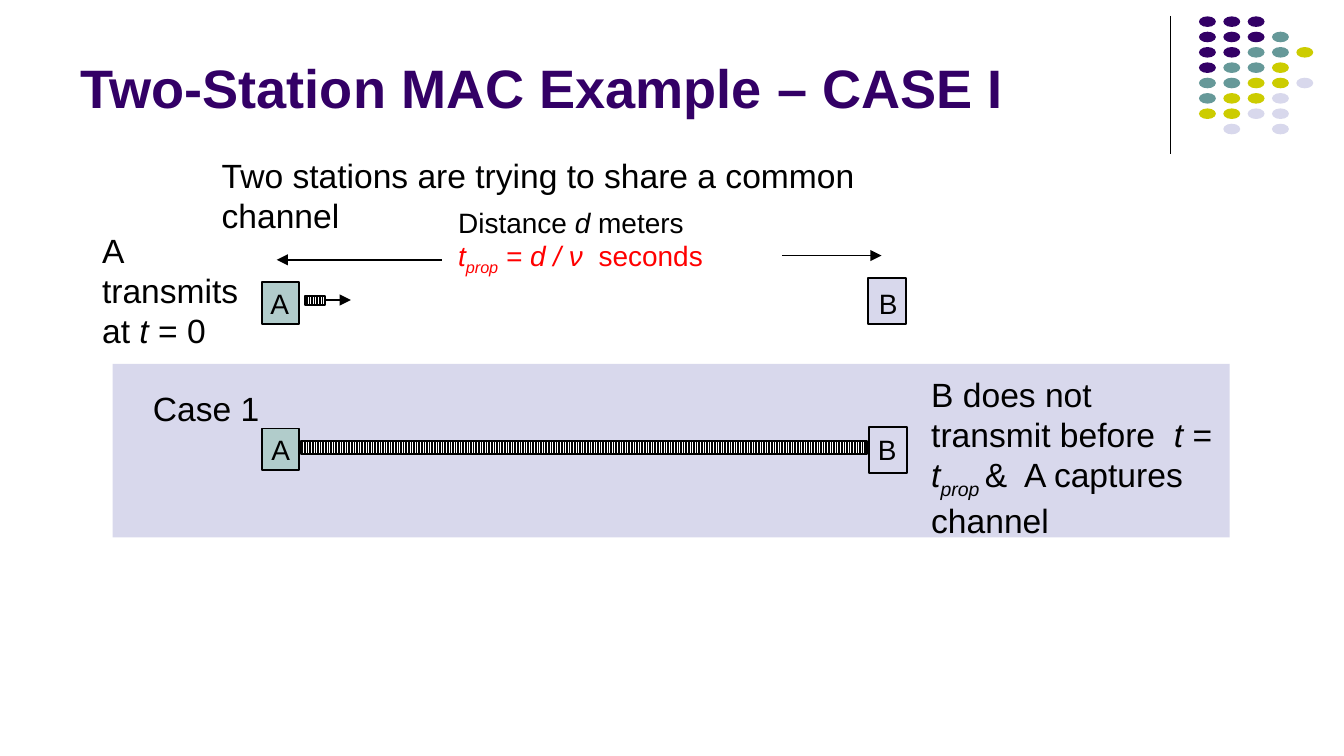
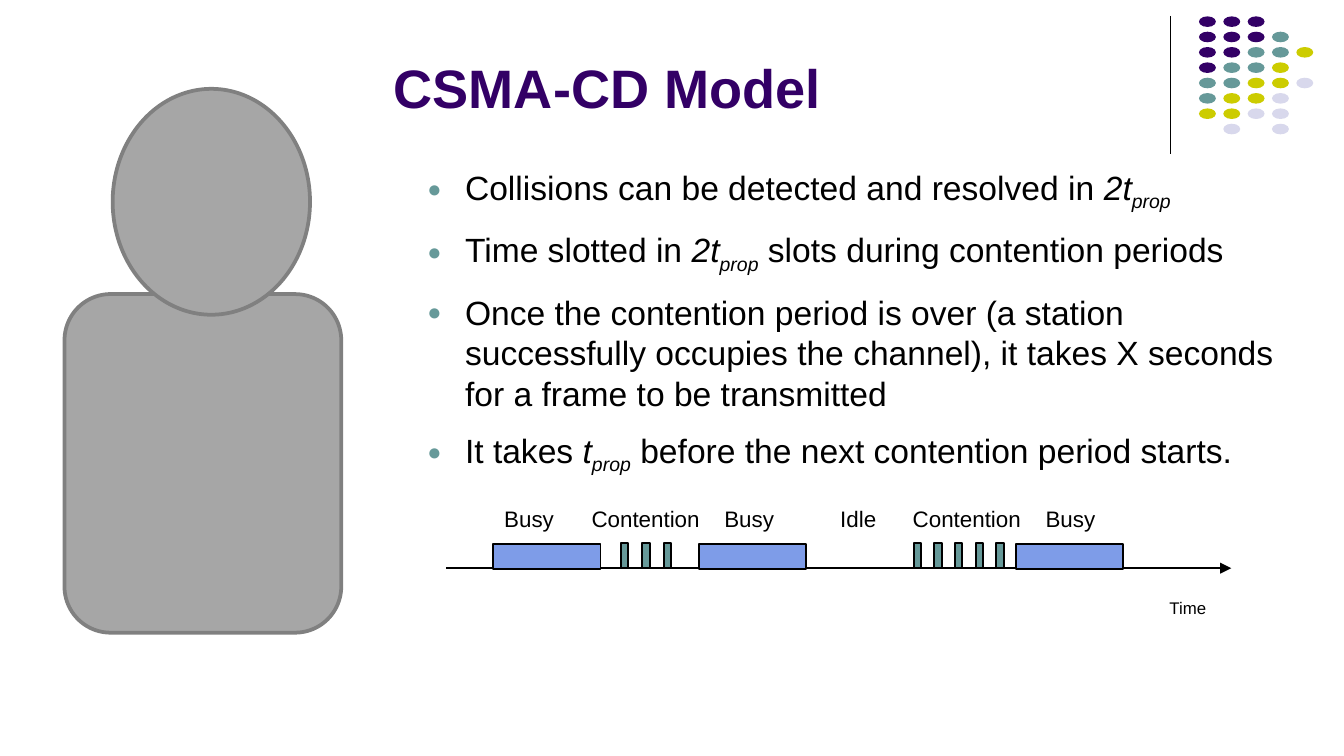
import dataclasses

import lxml.etree
import pptx
import pptx.dml.color
import pptx.enum.dml
import pptx.enum.shapes
import pptx.enum.text
import pptx.oxml.ns
import pptx.util

Cm = pptx.util.Cm
Pt = pptx.util.Pt
RGBColor = pptx.dml.color.RGBColor
qn = pptx.oxml.ns.qn
MSO_SHAPE = pptx.enum.shapes.MSO_SHAPE
MSO_ANCHOR = pptx.enum.text.MSO_ANCHOR
PP_ALIGN = pptx.enum.text.PP_ALIGN
MSO_AUTO_SIZE = pptx.enum.text.MSO_AUTO_SIZE

FONT = "Arial"
BLACK = RGBColor(0x00, 0x00, 0x00)
WHITE = RGBColor(0xFF, 0xFF, 0xFF)
RED = RGBColor(0xFF, 0x00, 0x00)
PURPLE = RGBColor(0x33, 0x00, 0x66)
TEAL = RGBColor(0x66, 0x99, 0x99)
YELLOW = RGBColor(0xCC, 0xCC, 0x00)
LAVENDER = RGBColor(0xD8, 0xD8, 0xEC)
PALE_TEAL = RGBColor(0xB1, 0xCC, 0xCB)
BLUE = RGBColor(0x7E, 0x9C, 0xE8)
GRAY = RGBColor(0xA6, 0xA6, 0xA6)
DARK_GRAY = RGBColor(0x80, 0x80, 0x80)

DOT_ROWS = ["PPP", "PPPT", "PPTTY", "PTTY", "TTYYL", "TYYL", "YYLL", " L L"]
DOT_COLORS = {"P": PURPLE, "T": TEAL, "Y": YELLOW, "L": LAVENDER}
WIDE_INSET = (0.25, 0.13)
SLIM_INSET = (0.18, 0.1)


@dataclasses.dataclass
class Part:
    """A stretch of text with its own format."""

    text: str
    italic: bool = False
    sub: bool = False
    color: RGBColor = None


def italic(text, **kwargs):
    """Return an italic part."""
    return Part(text, italic=True, **kwargs)


def add_bullet(paragraph):
    """Give a paragraph a hanging round bullet."""
    props = paragraph._p.get_or_add_pPr()
    props.set("marL", str(Cm(1.45)))
    props.set("indent", str(-Cm(0.71)))
    color = lxml.etree.SubElement(props, qn("a:buClr"))
    lxml.etree.SubElement(color, qn("a:srgbClr"), val=str(TEAL))
    lxml.etree.SubElement(props, qn("a:buSzPct"), val="70000")
    lxml.etree.SubElement(props, qn("a:buFont"), typeface=FONT)
    lxml.etree.SubElement(props, qn("a:buChar"), char="●")


def add_text(slide, paragraphs, left, top, width, height, size=18, color=BLACK,
             bold=False, align=None, anchor=MSO_ANCHOR.TOP, inset=SLIM_INSET,
             wrap=True, grow=True, bullets=False, space_before=0):
    """Add a text box; each paragraph is a string or a list of strings and parts."""
    box = slide.shapes.add_textbox(Cm(left), Cm(top), Cm(width), Cm(height))
    frame = box.text_frame
    frame.word_wrap = wrap
    frame.auto_size = MSO_AUTO_SIZE.SHAPE_TO_FIT_TEXT if grow else MSO_AUTO_SIZE.NONE
    frame.vertical_anchor = anchor
    frame.margin_left = frame.margin_right = Cm(inset[0])
    frame.margin_top = frame.margin_bottom = Cm(inset[1])
    for index, content in enumerate(paragraphs):
        paragraph = frame.add_paragraph() if index else frame.paragraphs[0]
        if bullets:
            add_bullet(paragraph)
        if align is not None:
            paragraph.alignment = align
        if index and space_before:
            paragraph.space_before = Pt(space_before)
        for piece in [content] if isinstance(content, str) else content:
            part = Part(piece) if isinstance(piece, str) else piece
            run = paragraph.add_run()
            run.text = part.text
            run.font.name = FONT
            run.font.size = Pt(size)
            run.font.bold = bold
            run.font.italic = part.italic
            run.font.color.rgb = part.color or color
            if part.sub:
                run.font._element.set("baseline", "-25000")


def add_block(slide, kind, left, top, width, height, fill, line=None, weight=1):
    """Add a preset shape with a plain fill and an optional outline."""
    block = slide.shapes.add_shape(kind, Cm(left), Cm(top), Cm(width), Cm(height))
    block.shadow.inherit = False
    block.fill.solid()
    block.fill.fore_color.rgb = fill
    if line is None:
        block.line.fill.background()
    else:
        block.line.color.rgb = line
        block.line.width = Pt(weight)
    return block


def add_frame_signal(slide, left, top, width, height):
    """Add a transmitted frame as a vertically striped bar."""
    signal = add_block(slide, MSO_SHAPE.RECTANGLE, left, top, width, height, WHITE, BLACK)
    signal.fill.patterned()
    signal.fill.pattern = pptx.enum.dml.MSO_PATTERN.LIGHT_VERTICAL
    signal.fill.fore_color.rgb = WHITE
    signal.fill.back_color.rgb = BLACK


def add_line(slide, x1, y1, x2, y2, weight=1, arrow=None):
    """Add a straight line; arrow is None, "headEnd" or "tailEnd"."""
    line = slide.shapes.add_connector(pptx.enum.shapes.MSO_CONNECTOR.STRAIGHT,
                                      Cm(x1), Cm(y1), Cm(x2), Cm(y2))
    line.line.color.rgb = BLACK
    line.line.width = Pt(weight)
    props = line.element.spPr
    if arrow:
        lxml.etree.SubElement(props.find(qn("a:ln")), qn(f"a:{arrow}"), type="triangle")
    lxml.etree.SubElement(props, qn("a:effectLst"))


def add_station(slide, name, fill, left, top, height, label_left, label_top):
    """Add a station box with its letter."""
    add_block(slide, MSO_SHAPE.RECTANGLE, left, top, 0.71, height, fill, BLACK)
    add_text(slide, [name], label_left, label_top, 0.74, 0.82, size=15, wrap=False)


def start_slide(deck, title, left):
    """Add a slide with the dot ornament, the divider and a title."""
    slide = deck.slides.add_slide(deck.slide_layouts[6])
    add_line(slide, 22.12, 0.3, 22.12, 2.92, weight=0.75)
    for row, letters in enumerate(DOT_ROWS):
        for column, letter in enumerate(letters):
            if letter in DOT_COLORS:
                add_block(slide, MSO_SHAPE.OVAL, 22.66 + 0.46 * column,
                          0.31 + 0.29 * row, 0.32, 0.2, DOT_COLORS[letter])
    add_text(slide, [title], left, 0.25, 22.23 - left, 2.13, size=29, color=PURPLE,
             bold=True, anchor=MSO_ANCHOR.BOTTOM, inset=WIDE_INSET, grow=False)
    return slide


def build_station_slide(deck):
    """Build the two-station example."""
    slide = start_slide(deck, "Two-Station MAC Example – CASE I", 1.27)
    add_text(slide, ["Two stations are trying to share a common channel"],
             3.94, 2.79, 14.86, 1.02, inset=WIDE_INSET, wrap=False)
    add_text(slide, [["A transmits at ", italic("t "), "= 0"]], 1.75, 4.24, 3.07, 2.49)
    add_text(slide, [["Distance ", italic("d"), " meters"],
                     [italic("t", color=RED), italic("prop", sub=True, color=RED),
                      italic(" = d / ν ", color=RED), Part(" seconds", color=RED)]],
             8.48, 3.78, 6.27, 1.47, size=15)
    add_line(slide, 5.23, 4.91, 8.36, 4.91, arrow="headEnd")
    add_line(slide, 14.78, 4.83, 16.66, 4.83, arrow="tailEnd")
    add_station(slide, "A", PALE_TEAL, 4.95, 5.33, 0.79, 4.93, 5.31)
    add_station(slide, "B", LAVENDER, 16.41, 5.26, 0.86, 16.43, 5.31)
    add_frame_signal(slide, 5.77, 5.6, 0.38, 0.16)
    add_line(slide, 6.12, 5.67, 6.63, 5.67, arrow="tailEnd")

    add_block(slide, MSO_SHAPE.RECTANGLE, 2.13, 6.88, 21.11, 3.28, LAVENDER)
    add_station(slide, "A", PALE_TEAL, 4.95, 8.1, 0.79, 4.95, 8.08)
    add_station(slide, "B", LAVENDER, 16.43, 8.08, 0.86, 16.41, 8.08)
    add_frame_signal(slide, 5.69, 8.33, 10.7, 0.25)
    add_text(slide, [["B does not transmit before  ", italic("t"), " = ", italic("t"),
                      italic("prop ", sub=True), "&  A captures channel"]],
             17.42, 6.96, 5.79, 3.25)
    add_text(slide, ["Case 1"], 2.64, 7.21, 2.54, 1.02, inset=WIDE_INSET, wrap=False)


def add_timeline(slide):
    """Add the time axis with busy, contention and idle periods."""
    add_line(slide, 8.43, 10.74, 23.27, 10.74, arrow="tailEnd")
    for left in (9.32, 13.21, 19.2):
        add_block(slide, MSO_SHAPE.RECTANGLE, left, 10.29, 2.03, 0.46, BLUE, BLACK)
    for first, step, count in ((11.73, 0.41, 3), (17.27, 0.39, 5)):
        for slot in range(count):
            add_block(slide, MSO_SHAPE.RECTANGLE, first + step * slot, 10.26,
                      0.14, 0.48, TEAL, BLACK)
    periods = [("Busy", 9.35, 1.32), ("Contention", 11.0, 2.44), ("Busy", 13.51, 1.32),
               ("Idle", 15.7, 1.07), ("Contention", 17.07, 2.44), ("Busy", 19.58, 1.32)]
    for period, left, width in periods:
        add_text(slide, [period], left, 9.45, width, 0.71, size=12, wrap=False)
    add_text(slide, ["Time"], 21.41, 11.2, 2.08, 0.58, size=9, align=PP_ALIGN.CENTER)


def build_model_slide(deck):
    """Build the CSMA-CD model slide."""
    slide = start_slide(deck, "CSMA-CD Model", 7.19)
    prop = italic("prop", sub=True)
    add_text(slide, [
        ["Collisions can be detected and resolved in ", italic("2t"), prop],
        ["Time slotted in ", italic("2t"), prop, " slots during contention periods"],
        "Once the contention period is over (a station successfully occupies "
        "the channel), it takes X seconds for a frame to be transmitted",
        ["It takes ", italic("t"), prop, " before the next contention period starts."],
    ], 7.09, 3.02, 17.75, 6.96, inset=WIDE_INSET, grow=False, bullets=True, space_before=9)
    add_timeline(slide)
    add_block(slide, MSO_SHAPE.ROUNDED_RECTANGLE, 1.22, 5.56, 5.23, 6.4, GRAY, DARK_GRAY, 2)
    add_block(slide, MSO_SHAPE.OVAL, 2.13, 1.68, 3.73, 4.27, GRAY, DARK_GRAY, 2)


def main():
    """Build the deck and save it."""
    deck = pptx.Presentation()
    deck.slide_width = Cm(25.4)
    deck.slide_height = Cm(14.29)
    build_station_slide(deck)
    build_model_slide(deck)
    deck.save("out.pptx")


if __name__ == "__main__":
    main()
